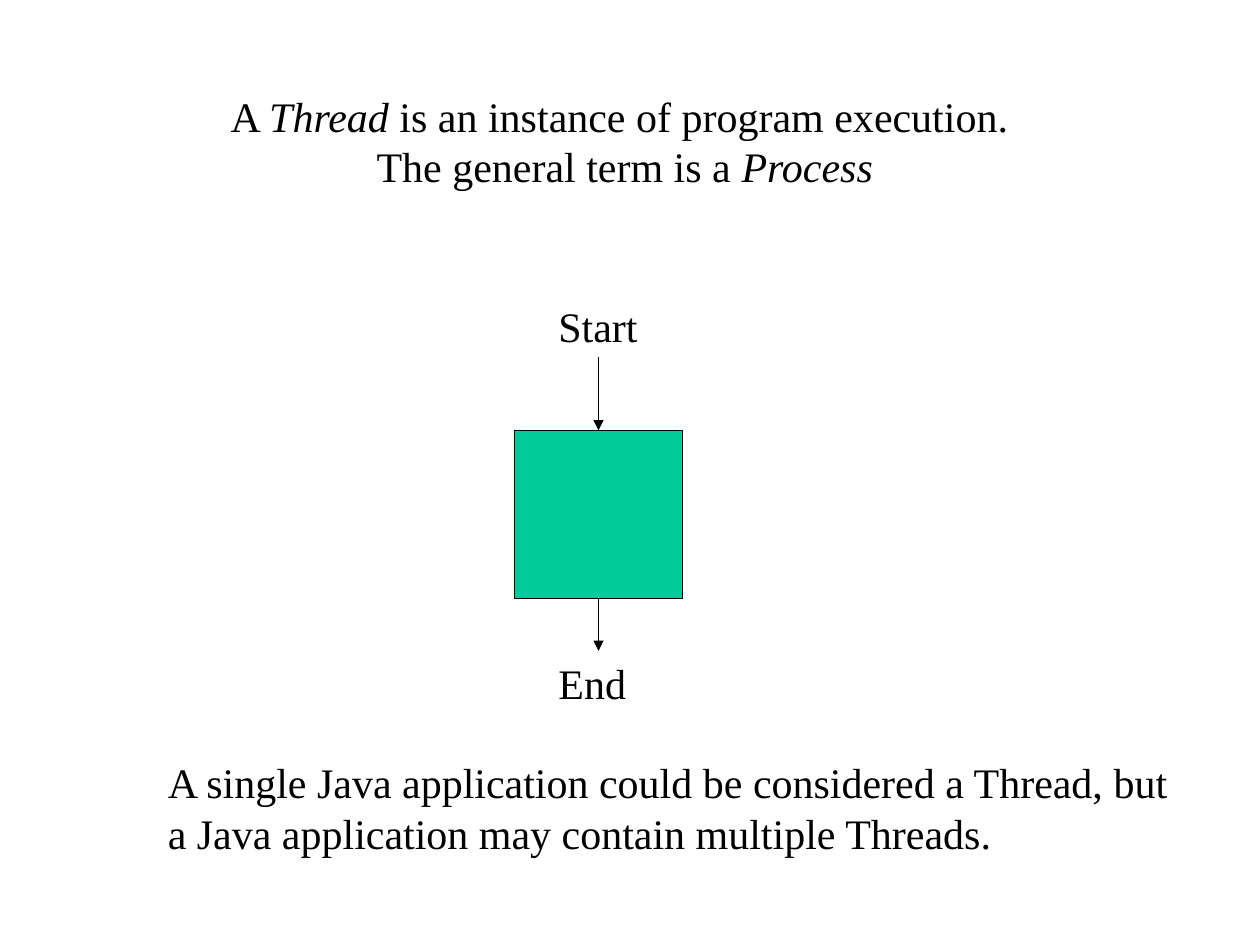
from dataclasses import dataclass

from lxml import etree
from pptx import Presentation
from pptx import util as u
from pptx.dml.color import RGBColor
from pptx.enum import shapes, text
from pptx.oxml import ns


@dataclass(frozen=True)
class Theme:
    """Colours, font and sizes used on the slide."""
    ink: RGBColor = RGBColor(0, 0, 0)
    process: RGBColor = RGBColor(0x00, 0xCC, 0x99)
    font: str = "Times New Roman"
    text_size: float = 24
    line_width: float = 0.75


@dataclass(frozen=True)
class Run:
    """A piece of text in one style."""
    words: str
    italic: bool = False


@dataclass(frozen=True)
class TextBlock:
    """Paragraphs of runs in a box, with lengths in points."""
    left: float
    top: float
    width: float
    height: float
    paragraphs: tuple[tuple[Run, ...], ...]
    alignment: text.PP_ALIGN = text.PP_ALIGN.LEFT
    wrap: bool = True


@dataclass(frozen=True)
class Arrow:
    """A downward arrow, with lengths in points."""
    x: float
    top: float
    bottom: float


THEME = Theme()
SQUARE_LEFT, SQUARE_TOP, SQUARE_SIDE = 294, 246, 96
CENTRE = SQUARE_LEFT + SQUARE_SIDE / 2
SQUARE_BOTTOM = SQUARE_TOP + SQUARE_SIDE

HEADING = TextBlock(
    114, 48, 486, 65,
    ((Run("A "), Run("Thread", True), Run(" is an instance of program execution. ")),
     (Run("The general term is a "), Run("Process", True))),
    text.PP_ALIGN.CENTER)
BLOCKS = (
    TextBlock(312, 168, 66, 36, ((Run("Start"),),)),
    TextBlock(312, 372, 60, 36, ((Run("End"),),)),
    TextBlock(
        88.8, 429, 586.5, 65,
        ((Run("A single Java application could be considered a Thread, but"),),
         (Run("a Java application may contain multiple Threads."),)),
        wrap=False),
)
ARROWS = (Arrow(CENTRE, 204, SQUARE_TOP), Arrow(CENTRE, SQUARE_BOTTOM, 372))


def apply(target, values: dict) -> None:
    """Set each named attribute on the target."""
    for name, value in values.items():
        setattr(target, name, value)


def write_block(shape, block: TextBlock) -> None:
    """Place a text shape and fill it with formatted runs."""
    apply(shape, {name: u.Pt(getattr(block, name))
                  for name in ("left", "top", "width", "height")})
    frame = shape.text_frame
    apply(frame, {"word_wrap": block.wrap,
                  "auto_size": text.MSO_AUTO_SIZE.SHAPE_TO_FIT_TEXT,
                  "vertical_anchor": text.MSO_ANCHOR.TOP})
    for index, runs in enumerate(block.paragraphs):
        paragraph = frame.add_paragraph() if index else frame.paragraphs[0]
        paragraph.alignment = block.alignment
        for item in runs:
            run = paragraph.add_run()
            run.text = item.words
            apply(run.font, {"name": THEME.font, "size": u.Pt(THEME.text_size),
                             "italic": item.italic})
            run.font.color.rgb = THEME.ink


def format_line(line) -> None:
    """Give a line the theme's colour and width."""
    line.color.rgb = THEME.ink
    line.width = u.Pt(THEME.line_width)


def draw_square(slide) -> None:
    """Draw the square that stands for the running program."""
    square = slide.shapes.add_shape(
        shapes.MSO_SHAPE.RECTANGLE, u.Pt(SQUARE_LEFT), u.Pt(SQUARE_TOP),
        u.Pt(SQUARE_SIDE), u.Pt(SQUARE_SIDE))
    square.shadow.inherit = False
    square.fill.solid()
    square.fill.fore_color.rgb = THEME.process
    format_line(square.line)


def draw_arrow(slide, arrow: Arrow) -> None:
    """Draw a straight connector with a triangular head at its end."""
    connector = slide.shapes.add_connector(
        shapes.MSO_CONNECTOR.STRAIGHT, u.Pt(arrow.x), u.Pt(arrow.top),
        u.Pt(arrow.x), u.Pt(arrow.bottom))
    format_line(connector.line)
    properties = connector._element.spPr
    outline = properties.find(ns.qn("a:ln"))
    etree.SubElement(outline, ns.qn("a:tailEnd"), type="triangle")
    etree.SubElement(properties, ns.qn("a:effectLst"))


def main() -> None:
    """Build the slide and save it."""
    presentation = Presentation()
    apply(presentation, {"slide_width": u.Pt(720), "slide_height": u.Pt(540)})
    slide = presentation.slides.add_slide(
        presentation.slide_layouts.get_by_name("Title Only"))
    write_block(slide.shapes.title, HEADING)
    draw_square(slide)
    for arrow in ARROWS:
        draw_arrow(slide, arrow)
    for block in BLOCKS:
        write_block(slide.shapes.add_textbox(0, 0, 0, 0), block)
    presentation.save("out.pptx")


main()
